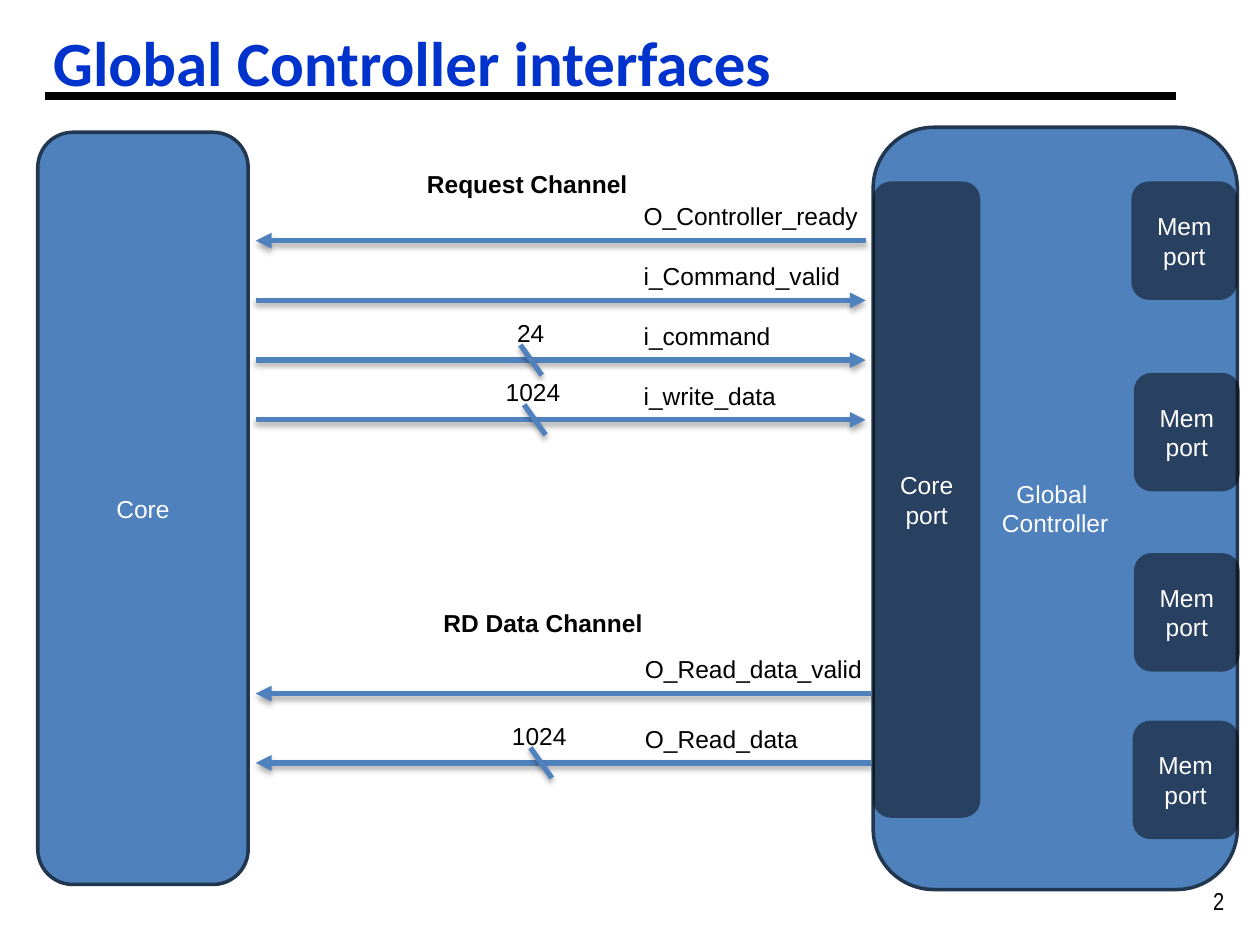
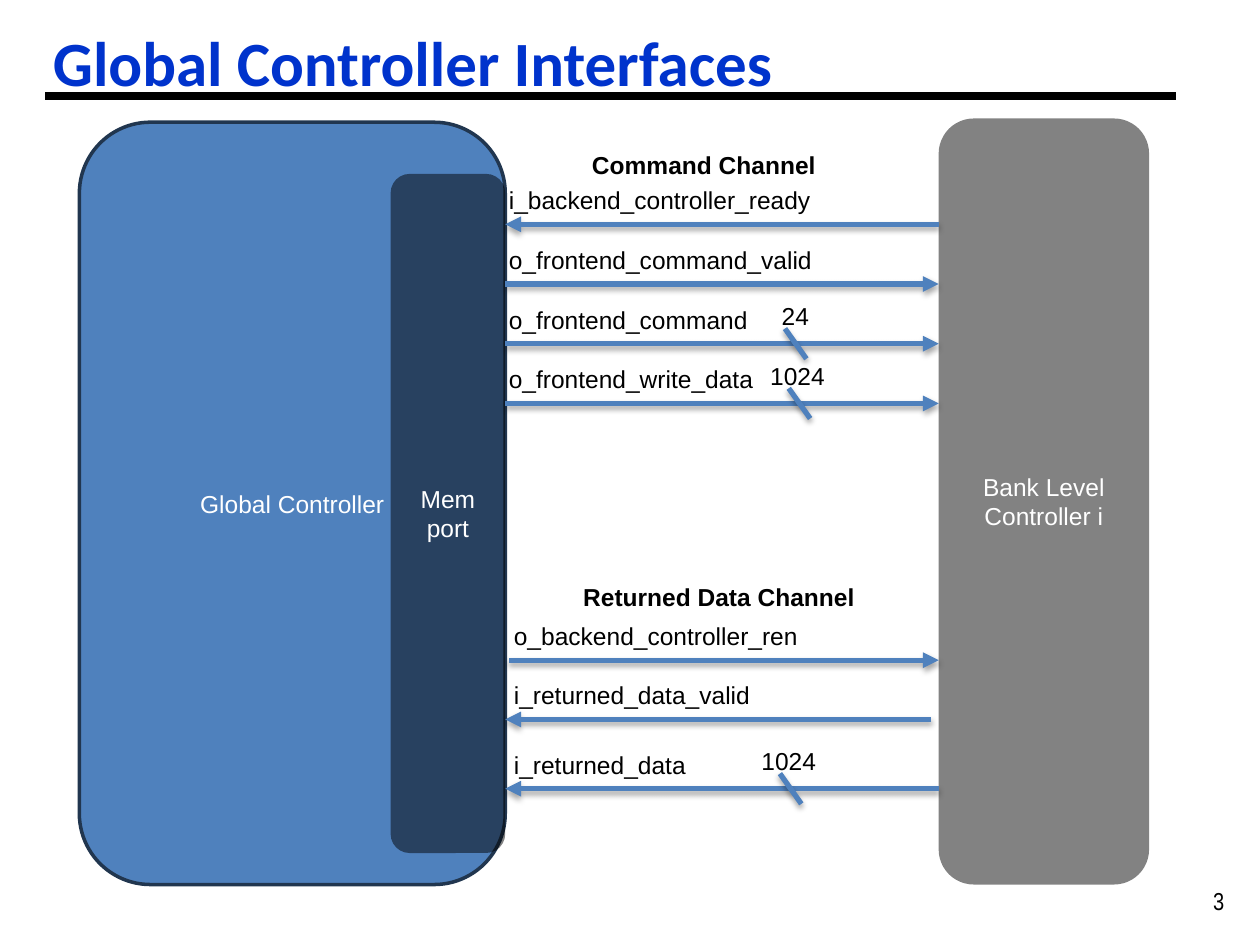
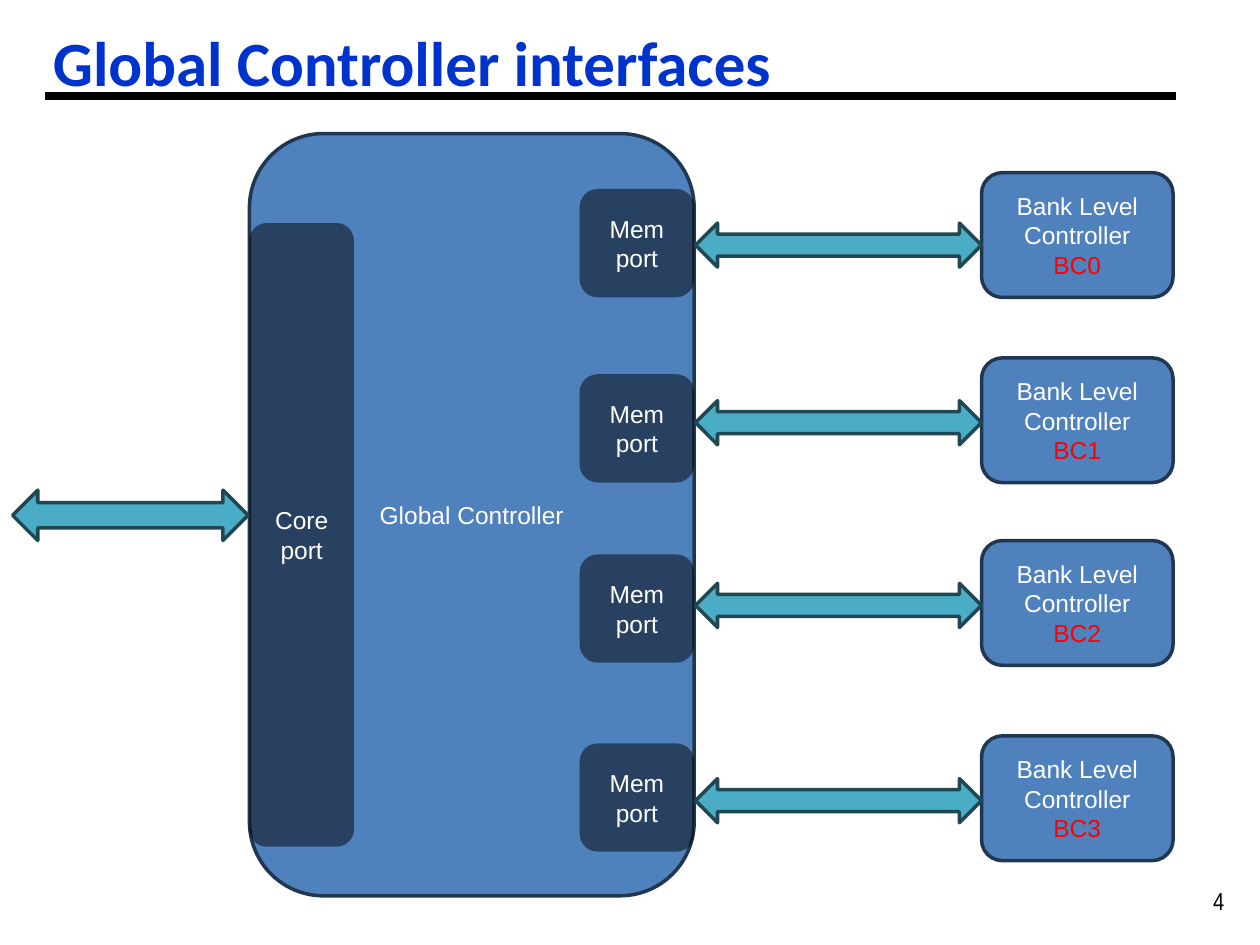
from dataclasses import dataclass

from lxml import etree
from pptx import Presentation
from pptx.dml.color import RGBColor
from pptx.enum.shapes import MSO_CONNECTOR, MSO_SHAPE
from pptx.enum.text import MSO_ANCHOR, MSO_AUTO_SIZE, PP_ALIGN
from pptx.oxml.ns import qn
from pptx.util import Inches, Pt

STRAIGHT = MSO_CONNECTOR.STRAIGHT
PANEL = MSO_SHAPE.FLOWCHART_ALTERNATE_PROCESS
DOUBLE_ARROW = MSO_SHAPE.LEFT_RIGHT_ARROW
CENTER = PP_ALIGN.CENTER
LEFT = PP_ALIGN.LEFT
MIDDLE = MSO_ANCHOR.MIDDLE
BOTTOM = MSO_ANCHOR.BOTTOM
NO_AUTOFIT = MSO_AUTO_SIZE.NONE

COLORS = {
    "title": "0033CC",
    "black": "000000",
    "white": "FFFFFF",
    "blue": "4F81BD",
    "blue_edge": "21364F",
    "teal": "4BACC6",
    "teal_edge": "1F4853",
    "red": "FF0000",
}
SLIDE_WIDTH, SLIDE_HEIGHT = Inches(10), Inches(7.5)
COLUMNS = 100
CELL = SLIDE_WIDTH // COLUMNS
TITLE_ONLY = 5
FIRST_NUMBER = 2
LABEL_HEIGHT = 3.4
LABEL_RISE = 3.6
BITS_RISE = 3.85
LANE_PITCH = 4.74
SLASH_WIDTH, SLASH_HEIGHT = 1.7, 2.4
BITS_WIDTHS = {"24": 4.2, "1024": 6.6}


@dataclass
class Box:
    left: float
    top: float
    width: float
    height: float

    def inner(self, left, top, width, height):
        return Box(self.left + left, self.top + top, width, height)

    def emu(self):
        return [round(length * CELL) for length in (self.left, self.top, self.width, self.height)]


@dataclass
class Signal:
    name: str
    row: float
    label_width: float
    rightward: bool
    bits: str = ""
    bits_column: float = 0
    start_gap: float = 0


def rgb(name):
    return RGBColor.from_string(COLORS[name])


def format_runs(paragraph, size, font, color, bold=False):
    for run in paragraph.runs:
        run.font.size = Pt(size)
        run.font.name = font
        run.font.bold = bold
        run.font.color.rgb = rgb(color)


def set_insets(text_frame, horizontal, vertical):
    text_frame.margin_left = text_frame.margin_right = Inches(horizontal)
    text_frame.margin_top = text_frame.margin_bottom = Inches(vertical)


def add_label(slide, box, text, bold=False, font="Arial"):
    text_frame = slide.shapes.add_textbox(*box.emu()).text_frame
    text_frame.word_wrap = True
    set_insets(text_frame, 0.1, 0.05)
    text_frame.text = text
    format_runs(text_frame.paragraphs[0], 14, font, "black", bold)


def add_panel(slide, box, kind, fill, edge=None, text=""):
    shape = slide.shapes.add_shape(kind, *box.emu())
    shape.shadow.inherit = False
    shape.fill.solid()
    shape.fill.fore_color.rgb = rgb(fill)
    if edge:
        shape.line.color.rgb = rgb(edge)
        shape.line.width = Pt(2)
    else:
        shape.line.fill.background()
    if text:
        text_frame = shape.text_frame
        text_frame.word_wrap = True
        text_frame.vertical_anchor = MIDDLE
        set_insets(text_frame, 0.1, 0.1)
        text_frame.text = text
        for paragraph in text_frame.paragraphs:
            paragraph.alignment = CENTER
            format_runs(paragraph, 14, "Arial", "white")
    return shape


def add_block(slide, box, text):
    return add_panel(slide, box, PANEL, "blue", "blue_edge", text)


def add_shaded_block(slide, box, text):
    shape = add_panel(slide, box, PANEL, "black", text=text)
    color = shape._element.spPr.find(qn("a:solidFill")).find(qn("a:srgbClr"))
    etree.SubElement(color, qn("a:alpha"), val="49000")


def add_double_arrow(slide, box):
    add_panel(slide, box, DOUBLE_ARROW, "teal", "teal_edge")


def add_line(slide, start, end, color, width):
    points = [round(length * CELL) for length in (*start, *end)]
    line = slide.shapes.add_connector(STRAIGHT, *points)
    line.line.color.rgb = rgb(color)
    line.line.width = Pt(width)
    effects = etree.SubElement(line._element.spPr, qn("a:effectLst"))
    return line, effects


def add_wire(slide, start, end, arrow=False):
    line, effects = add_line(slide, start, end, "blue", 3)
    if arrow:
        etree.SubElement(line.line._get_or_add_ln(), qn("a:tailEnd"), type="triangle")
    shadow = etree.SubElement(
        effects, qn("a:outerShdw"), blurRad=str(Pt(3.1)), dist=str(Pt(1.8)),
        dir="5400000", rotWithShape="0")
    color = etree.SubElement(shadow, qn("a:srgbClr"), val=COLORS["black"])
    etree.SubElement(color, qn("a:alpha"), val="35000")


def add_bits(slide, column, row, bits):
    top = row - SLASH_HEIGHT / 2
    add_wire(slide, (column, top), (column + SLASH_WIDTH, top + SLASH_HEIGHT))
    width = BITS_WIDTHS[bits]
    left = column + (SLASH_WIDTH - width) / 2
    add_label(slide, Box(left, row - BITS_RISE, width, LABEL_HEIGHT), bits)


def add_channel(slide, box, heading, heading_box, label_column, signals):
    add_label(slide, box.inner(*heading_box), heading, bold=True)
    for signal in signals:
        row = box.top + signal.row
        ends = [(box.left, row), (box.left + box.width, row)]
        if signal.rightward:
            start, end = ends
            start = (start[0] + signal.start_gap, row)
        else:
            end, start = ends
            start = (start[0] - signal.start_gap, row)
        add_wire(slide, start, end, arrow=True)
        label_box = box.inner(
            label_column, signal.row - LABEL_RISE, signal.label_width, LABEL_HEIGHT)
        add_label(slide, label_box, signal.name)
        if signal.bits:
            add_bits(slide, box.left + signal.bits_column, row, signal.bits)


def add_controller(slide, box, text, core_port, memory_ports):
    add_block(slide, box, text)
    if core_port:
        add_shaded_block(slide, box.inner(*core_port), "Core\nport")
    for port in memory_ports:
        add_shaded_block(slide, box.inner(*port), "Mem\nport")


def add_bank(slide, box, name):
    shape = add_block(slide, box, f"Bank Level Controller\n{name}")
    format_runs(shape.text_frame.paragraphs[1], 14, "Arial", "red")


def add_titled_slide(presentation, title):
    slide = presentation.slides.add_slide(presentation.slide_layouts[TITLE_ONLY])
    placeholder = slide.shapes.title
    placeholder.left, placeholder.top, placeholder.width, placeholder.height = Box(
        4.2, 1.3, 93.1, 7.1).emu()
    text_frame = placeholder.text_frame
    text_frame.text = title
    text_frame.auto_size = NO_AUTOFIT
    text_frame.vertical_anchor = BOTTOM
    set_insets(text_frame, 0, 0.05)
    text_frame.paragraphs[0].alignment = LEFT
    format_runs(text_frame.paragraphs[0], 36, "Calibri", "title", bold=True)
    add_line(slide, (3.6, 7.6), (93.3, 7.6), "black", 4.5)
    number = FIRST_NUMBER + len(presentation.slides) - 1
    add_label(slide, Box(95.3, 69.8, 4.7, 3.3), str(number), font="Arial Narrow")
    return slide


def build_core_slide(presentation):
    slide = add_titled_slide(presentation, "Global Controller interfaces")
    memory_ports = [(left, top, 8.4, 9.4) for left, top in (
        (20.5, 4.3), (20.7, 19.5), (20.7, 33.8), (20.6, 47.1))]
    add_controller(slide, Box(69.3, 10.1, 28.9, 60.5), "Global \nController",
                   (0, 4.3, 8.5, 50.5), memory_ports)
    add_block(slide, Box(3, 10.5, 16.7, 59.7), "Core")
    add_channel(slide, Box(20.3, 19.1, 48.4, 14.2), "Request Channel",
                (12.6, -6.2, 19.7, LABEL_HEIGHT), 29.8, [
                    Signal("O_Controller_ready", 0, 19.7, False),
                    Signal("i_Command_valid", LANE_PITCH, 19.7, True),
                    Signal("i_command", 2 * LANE_PITCH, 17.7, True, "24", 21),
                    Signal("i_write_data", 3 * LANE_PITCH, 18.5, True, "1024", 21.3),
                ])
    add_channel(slide, Box(20.3, 55.05, 48.8, 5.5), "RD Data Channel",
                (13.9, -7.25, 18.1, LABEL_HEIGHT), 29.9, [
                    Signal("O_Read_data_valid", 0, 19.6, False),
                    Signal("O_Read_data", 5.5, 14.7, False, "1024", 21.8),
                ])


def build_memory_slide(presentation):
    slide = add_titled_slide(presentation, "Global Controller Interfaces")
    add_shaded_block(slide, Box(74.5, 9.4, 16.7, 60.8), "Bank Level Controller i")
    add_controller(slide, Box(6.3, 9.7, 33.8, 60.5), "Global Controller",
                   None, [(24.7, 4.1, 9.1, 53.9)])
    add_channel(slide, Box(40.1, 17.8, 34.4, 14.2), "Command Channel",
                (5.9, -6.4, 22.4, LABEL_HEIGHT), -0.7, [
                    Signal("i_backend_controller_ready", 0, 26.5, False),
                    Signal("o_frontend_command_valid", LANE_PITCH, 26.5, True),
                    Signal("o_frontend_command", 2 * LANE_PITCH, 21.3, True, "24", 22.2),
                    Signal("o_frontend_write_data", 3 * LANE_PITCH, 21.9, True, "1024", 22.5),
                ])
    add_channel(slide, Box(40.1, 52.4, 34.4, 10.2), "Returned Data Channel",
                (5.2, -6.7, 24.9, LABEL_HEIGHT), -0.3, [
                    Signal("o_backend_controller_ren", 0, 26.5, True, start_gap=0.3),
                    Signal("i_returned_data_valid", 4.7, 22.1, False, start_gap=0.6),
                    Signal("i_returned_data", 10.2, 18.5, False, "1024", 21.8),
                ])


def build_banks_slide(presentation):
    slide = add_titled_slide(presentation, "Global Controller interfaces")
    controller = Box(19.8, 10.6, 35.3, 60.5)
    port_rows = (4.4, 19.1, 33.4, 48.4)
    bank_rows = (13.7, 28.4, 42.9, 58.4)
    arrow_rows = (17.7, 31.8, 46.3, 61.8)
    add_controller(slide, controller, "Global Controller", (0, 7.1, 8.3, 49.5),
                   [(26.2, row, 9.1, 8.6) for row in port_rows])
    add_double_arrow(slide, Box(1, 38.9, 18.7, 4))
    for index, (bank_row, arrow_row) in enumerate(zip(bank_rows, arrow_rows)):
        add_bank(slide, Box(77.9, bank_row, 15.2, 9.9), f"BC{index}")
        add_double_arrow(slide, Box(55.2, arrow_row, 22.7, 3.5))


def main():
    presentation = Presentation()
    presentation.slide_width = SLIDE_WIDTH
    presentation.slide_height = SLIDE_HEIGHT
    build_core_slide(presentation)
    build_memory_slide(presentation)
    build_banks_slide(presentation)
    presentation.save("out.pptx")


if __name__ == "__main__":
    main()
